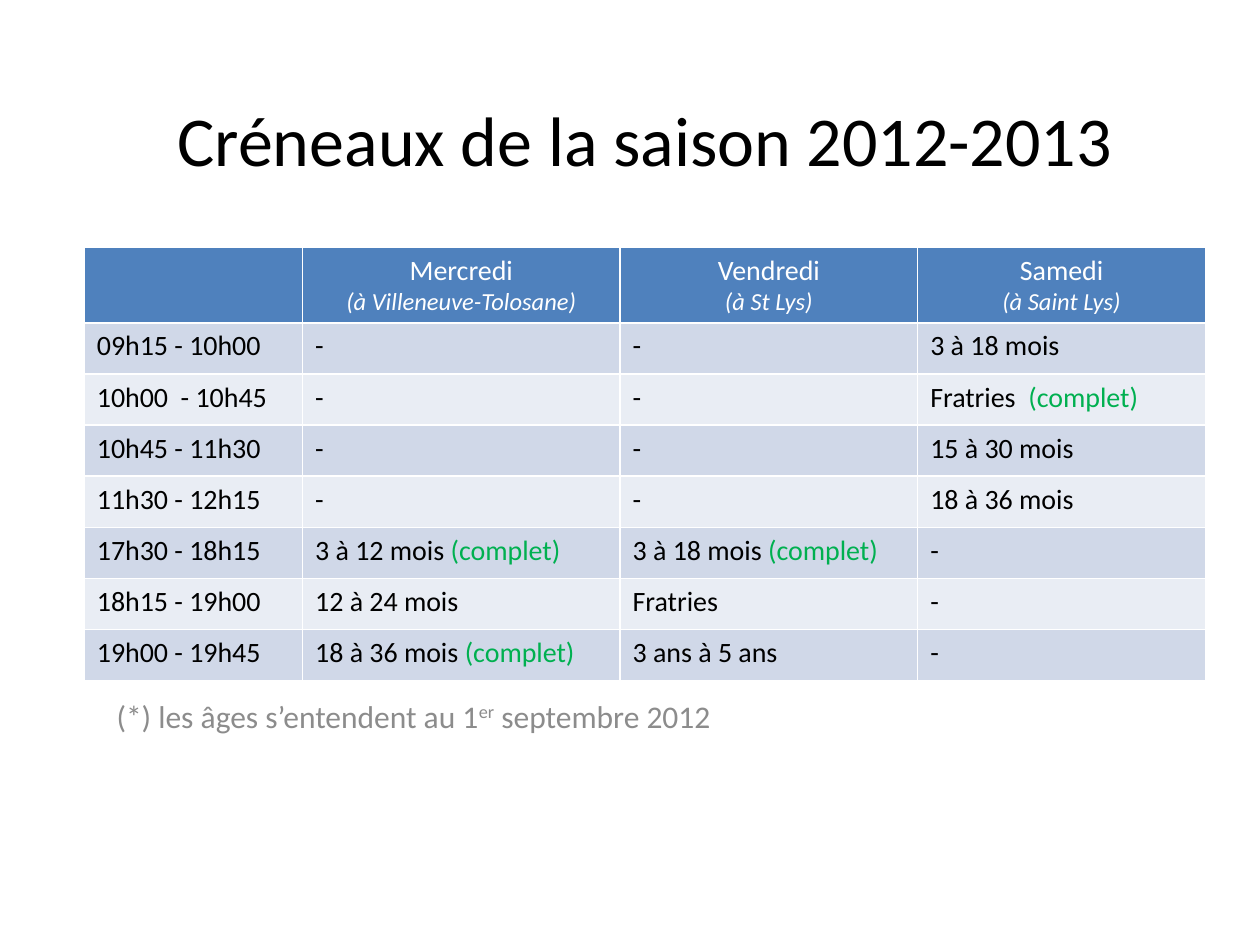
from lxml import etree
from pptx import Presentation
from pptx.dml.color import RGBColor
from pptx.enum.text import MSO_ANCHOR, PP_ALIGN
from pptx.oxml.ns import qn
from pptx.util import Cm, Pt

CENTER = PP_ALIGN.CENTER
LEFT = PP_ALIGN.LEFT
TOP = MSO_ANCHOR.TOP
MIDDLE = MSO_ANCHOR.MIDDLE

BLACK, WHITE, GREEN, GREY = "000000", "FFFFFF", "00B050", "8C8C8C"
HEADER_FILL = "4F81BD"
BAND_FILLS = ("D0D8E8", "E9EDF4")
FULL_MARK = "(complet)"

COLUMN_WIDTHS = (4.4, 6.4, 6.0, 5.8)
HEADER_HEIGHT, ROW_HEIGHT = 1.53, 1.03
DAYS = (
    ("Mercredi", "(à Villeneuve-Tolosane)"),
    ("Vendredi", "(à St Lys)"),
    ("Samedi", "(à Saint Lys)"),
)
SLOTS = (
    ("09h15 - 10h00", "-", "-", "3 à 18 mois"),
    ("10h00  - 10h45", "-", "-", "Fratries  (complet)"),
    ("10h45 - 11h30", "-", "-", "15 à 30 mois"),
    ("11h30 - 12h15", "-", "-", "18 à 36 mois"),
    ("17h30 - 18h15", "3 à 12 mois (complet)", "3 à 18 mois (complet)", "-"),
    ("18h15 - 19h00", "12 à 24 mois", "Fratries", "-"),
    ("19h00 - 19h45", "18 à 36 mois (complet)", "3 ans à 5 ans", "-"),
)


def color(hex_value):
    return RGBColor.from_string(hex_value)


def add_run(paragraph, text, size, hex_value, **formats):
    run = paragraph.add_run()
    run.text = text
    run.font.color.rgb = color(hex_value)
    values = {"name": "Calibri", "size": Pt(size), "bold": False, **formats}
    for name, value in values.items():
        setattr(run.font, name, value)
    return run


def add_text_box(slide, box, alignment, anchor):
    shape = slide.shapes.add_textbox(*(Cm(length) for length in box))
    frame = shape.text_frame
    frame.word_wrap = True
    frame.vertical_anchor = anchor
    paragraph = frame.paragraphs[0]
    paragraph.alignment = alignment
    return paragraph


def add_title(slide, box):
    paragraph = add_text_box(slide, box, CENTER, MIDDLE)
    add_run(paragraph, "Créneaux de la saison 2012-2013", 40, BLACK)


def add_footnote(slide, box):
    paragraph = add_text_box(slide, box, LEFT, TOP)
    paragraph.space_before = Pt(3.6)
    add_run(paragraph, "(*) les âges s’entendent au 1", 18, GREY)
    ordinal = add_run(paragraph, "er", 18, GREY)
    ordinal.font._element.set("baseline", "30000")
    add_run(paragraph, " septembre 2012", 18, GREY)


def style_cell(cell, fill):
    properties = cell._tc.get_or_add_tcPr()
    for side in ("a:lnL", "a:lnR", "a:lnT", "a:lnB"):
        line = etree.SubElement(properties, qn(side), w=str(Pt(1)))
        solid = etree.SubElement(line, qn("a:solidFill"))
        etree.SubElement(solid, qn("a:srgbClr"), val=WHITE)
    cell.fill.solid()
    cell.fill.fore_color.rgb = color(fill)


def fill_header(cell, day, place):
    frame = cell.text_frame
    for paragraph, text, size, italic in (
        (frame.paragraphs[0], day, 16, False),
        (frame.add_paragraph(), place, 14, True),
    ):
        paragraph.alignment = CENTER
        add_run(paragraph, text, size, WHITE, italic=italic)


def fill_slot(cell, text):
    paragraph = cell.text_frame.paragraphs[0]
    label, mark, _ = text.partition(FULL_MARK)
    add_run(paragraph, label, 16, BLACK)
    if mark:
        add_run(paragraph, mark, 16, GREEN)


def add_schedule(slide, left, top):
    heights = [HEADER_HEIGHT] + [ROW_HEIGHT] * len(SLOTS)
    box = (left, top, sum(COLUMN_WIDTHS), sum(heights))
    table = slide.shapes.add_table(
        len(heights), len(COLUMN_WIDTHS), *(Cm(length) for length in box)
    ).table
    for column, width in zip(table.columns, COLUMN_WIDTHS):
        column.width = Cm(width)
    for row, height in zip(table.rows, heights):
        row.height = Cm(height)

    style_cell(table.cell(0, 0), HEADER_FILL)
    for column_index, (day, place) in enumerate(DAYS, start=1):
        cell = table.cell(0, column_index)
        style_cell(cell, HEADER_FILL)
        fill_header(cell, day, place)
    for row_index, slot in enumerate(SLOTS):
        for column_index, text in enumerate(slot):
            cell = table.cell(row_index + 1, column_index)
            style_cell(cell, BAND_FILLS[row_index % 2])
            fill_slot(cell, text)


def main():
    presentation = Presentation()
    presentation.slide_width = Cm(25.4)
    presentation.slide_height = Cm(19.05)
    slide = presentation.slides.add_slide(presentation.slide_layouts[6])
    add_title(slide, (1.7, 0.74, 22.6, 4.09))
    add_schedule(slide, 1.7, 4.98)
    add_footnote(slide, (2.1, 13.92, 17.78, 1.19))
    presentation.save("out.pptx")


if __name__ == "__main__":
    main()
